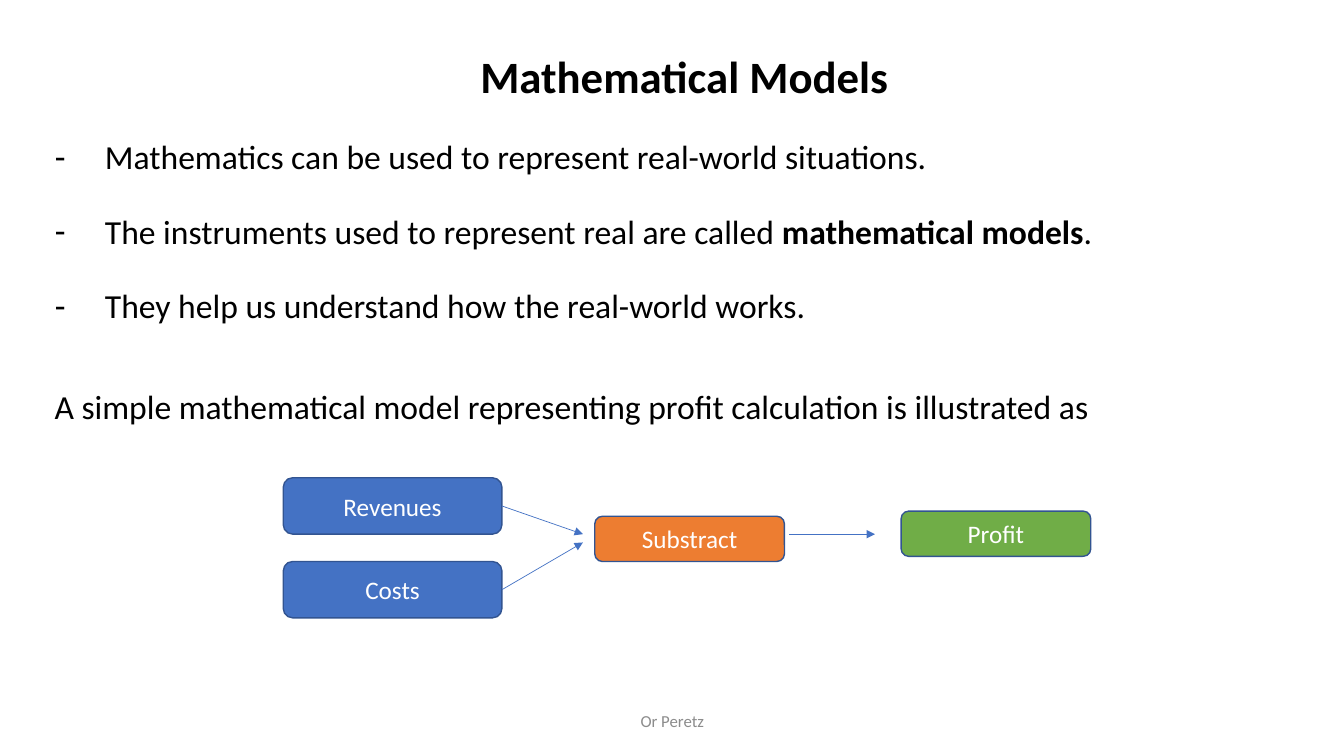
from lxml import etree
from pptx import Presentation
from pptx.dml.color import RGBColor
from pptx.enum.shapes import MSO_CONNECTOR, MSO_SHAPE
from pptx.enum.text import MSO_ANCHOR, MSO_AUTO_SIZE, PP_ALIGN
from pptx.oxml.ns import qn
from pptx.util import Cm, Pt

ROUNDED = MSO_SHAPE.ROUNDED_RECTANGLE
STRAIGHT = MSO_CONNECTOR.STRAIGHT
CENTER = PP_ALIGN.CENTER
MIDDLE, TOP = MSO_ANCHOR.MIDDLE, MSO_ANCHOR.TOP
NO_FIT = MSO_AUTO_SIZE.NONE
RIGHT_SIDE = 3

FONT = "Calibri"
COLORS = {
    "text": "000000",
    "footer": "8C8C8C",
    "label": "FFFFFF",
    "input": "4472C4",
    "operation": "ED7D31",
    "result": "70AD47",
    "outline": "325491",
    "arrow": "4472C4",
}

TITLE = "Mathematical Models"
POINTS = [
    [("Mathematics can be used to represent real-world situations.", False)],
    [("The instruments used to represent real are called ", False),
     ("mathematical models", True), (".", False)],
    [("They help us understand how the real-world works.", False)],
]
LEAD_IN = "A simple mathematical model representing profit calculation is illustrated as"


def rgb(name):
    return RGBColor.from_string(COLORS[name])


def place(sp, box):
    sp.left, sp.top, sp.width, sp.height = (Cm(v) for v in box)


def style(r, size, color, bold=False):
    r.font.name = FONT
    r.font.size = Pt(size)
    r.font.bold = bold
    r.font.color.rgb = rgb(color)


def center_text(sp, text, size, color, bold=False):
    tf = sp.text_frame
    tf.text = text
    tf.word_wrap = True
    tf.auto_size = NO_FIT
    tf.vertical_anchor = MIDDLE
    p = tf.paragraphs[0]
    p.alignment = CENTER
    style(p.runs[0], size, color, bold)


def set_bullet(p, char=None, indent=0):
    pPr = p._p.get_or_add_pPr()
    pPr.set("marL", str(Cm(indent)))
    pPr.set("indent", str(-Cm(indent)))
    if char:
        etree.SubElement(pPr, qn("a:buChar")).set("char", char)
    else:
        etree.SubElement(pPr, qn("a:buNone"))


def add_title(s, box):
    sp = s.shapes.title
    place(sp, box)
    center_text(sp, TITLE, 32, "text", bold=True)


def add_body(s, box):
    sp = s.placeholders[1]
    place(sp, box)
    tf = sp.text_frame
    tf.word_wrap = True
    tf.auto_size = NO_FIT
    tf.vertical_anchor = TOP
    for i, parts in enumerate(POINTS + [[(LEAD_IN, False)]]):
        p = tf.paragraphs[0] if i == 0 else tf.add_paragraph()
        is_point = i < len(POINTS)
        if is_point:
            set_bullet(p, "-", 1.27)
        else:
            set_bullet(p)
        p.line_spacing = 1.5 if is_point else 0.9
        p.space_before = Pt(0 if i == 0 else 10 if is_point else 46)
        for text, bold in parts:
            r = p.add_run()
            r.text = text
            style(r, 24, "text", bold)


def add_box(s, text, fill, box):
    sp = s.shapes.add_shape(ROUNDED, *(Cm(v) for v in box))
    sp.shadow.inherit = False
    sp.fill.solid()
    sp.fill.fore_color.rgb = rgb(fill)
    sp.line.color.rgb = rgb("outline")
    sp.line.width = Pt(1)
    center_text(sp, text, 18, "label")
    return sp


def add_arrow(s, x1, y1, x2, y2):
    line = s.shapes.add_connector(STRAIGHT, Cm(x1), Cm(y1), Cm(x2), Cm(y2))
    line.line.color.rgb = rgb("arrow")
    line.line.width = Pt(0.5)
    etree.SubElement(line.line._get_or_add_ln(), qn("a:tailEnd")).set("type", "triangle")
    etree.SubElement(line._element.spPr, qn("a:effectLst"))
    return line


def add_profit_diagram(s, box):
    x, y, w, h = box
    in_w, in_h = 5.51, 1.42
    out_w, out_h = 4.78, 1.14

    # Inputs, each with an arrow towards the operation
    inputs = [("Revenues", y, y + 1.42), ("Costs", y + h - in_h, y + 1.63)]
    for text, top, tip_y in inputs:
        sp = add_box(s, text, "input", (x, top, in_w, in_h))
        line = add_arrow(s, x + in_w, top + in_h / 2, x + 7.55, tip_y)
        line.begin_connect(sp, RIGHT_SIDE)

    # Operation and result
    add_box(s, "Substract", "operation", (x + 7.85, y + 0.97, out_w, out_h))
    add_arrow(s, x + 12.75, y + 1.42, x + 14.91, y + 1.42)
    add_box(s, "Profit", "result", (x + w - out_w, y + 0.84, out_w, out_h))


def add_footer(s, box):
    sp = s.shapes.add_textbox(*(Cm(v) for v in box))
    center_text(sp, "Or Peretz", 12, "footer")


def main():
    prs = Presentation()
    prs.slide_width, prs.slide_height = Cm(33.87), Cm(19.05)
    s = prs.slides.add_slide(prs.slide_layouts[1])
    add_title(s, (1.12, 0.7, 32.26, 2.4))
    add_body(s, (1.12, 2.8, 32.26, 8.8))
    add_profit_diagram(s, (7.14, 12.04, 20.35, 3.53))
    add_footer(s, (11.23, 17.65, 11.43, 1.02))
    prs.save("out.pptx")


if __name__ == "__main__":
    main()
